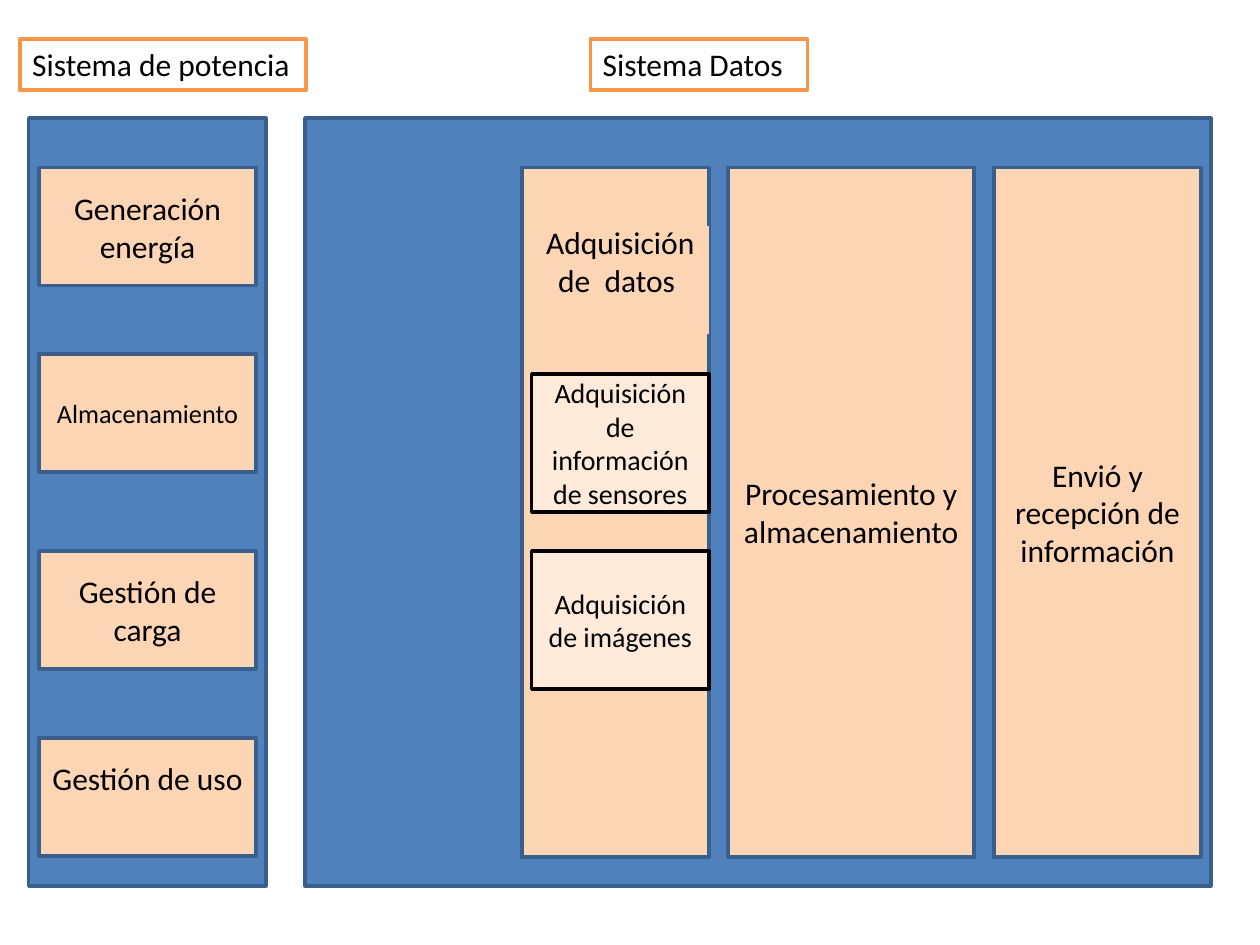
import dataclasses

import pptx
import pptx.dml.color
import pptx.enum.shapes
import pptx.enum.text
import pptx.util

Cm = pptx.util.Cm
Anchor = pptx.enum.text.MSO_ANCHOR
Align = pptx.enum.text.PP_ALIGN


@dataclasses.dataclass(frozen=True)
class Theme:
    """Colours, font and type sizes of the slide."""
    font: str = "Calibri"
    text: str = "000000"
    panel: str = "4F81BD"
    panel_line: str = "3A5F8C"
    block: str = "FCD5B5"
    detail: str = "FDEADA"
    title: str = "FFFFFF"
    title_line: str = "F79646"
    body_size: int = 18
    detail_size: int = 16
    small_size: int = 15
    line_width: int = 2


THEME = Theme()

# Lengths in centimetres: left, width
PANELS = [(0.58, 4.78), (6.15, 18.26)]
PANEL_TOP, PANEL_HEIGHT = 2.38, 15.48

# Text, left, width, wraps
TITLES = [
    ("Sistema de potencia", 0.4, 5.77, False),
    ("Sistema Datos", 11.9, 4.38, True),
]
TITLE_TOP, TITLE_HEIGHT = 0.79, 1.03

# Text, left, width
DATA_COLUMNS = [
    ("", 10.52, 3.77),
    ("Procesamiento y almacenamiento", 14.68, 4.96),
    ("Envió y recepción de información", 20.04, 4.17),
]
BLOCK_TOP, COLUMN_HEIGHT = 3.38, 13.9

# Text, top, type size, space kept free below the text
POWER_STEPS = [
    ("Generación energía", BLOCK_TOP, THEME.body_size, 0),
    ("Almacenamiento", 7.14, THEME.small_size, 0),
    ("Gestión de carga", 11.11, THEME.body_size, 0),
    ("Gestión de uso", 14.88, THEME.body_size, 0.76),
]
STEP_LEFT, STEP_WIDTH, STEP_HEIGHT = 0.79, 4.37, 2.38

ACQUISITION_LEFT, ACQUISITION_WIDTH = 10.72, 3.57
ACQUISITION_HEADING = ("Adquisición de  datos ", 4.56, 2.18, 0.76)
ACQUISITION_DETAILS = [
    ("Adquisición de información de sensores", 7.54),
    ("Adquisición de imágenes", 11.11),
]
DETAIL_HEIGHT = 2.78
BASE_INSET = 0.13


def colour(value):
    """Turn a hexadecimal string into a colour."""
    return pptx.dml.color.RGBColor.from_string(value)


def add_box(slide, place, fill, line=None, text="", size=THEME.body_size,
            align=Align.CENTER, anchor=Anchor.MIDDLE, space_below=0, wrap=True):
    """Add a rectangle at (left, top, width, height) with optional text."""
    shape = slide.shapes.add_shape(
        pptx.enum.shapes.MSO_SHAPE.RECTANGLE, *(Cm(length) for length in place))
    shape.shadow.inherit = False
    shape.fill.solid()
    shape.fill.fore_color.rgb = colour(fill)
    if line:
        shape.line.color.rgb = colour(line)
        shape.line.width = pptx.util.Pt(THEME.line_width)
    else:
        shape.line.fill.background()
    if text:
        frame = shape.text_frame
        frame.word_wrap = wrap
        frame.vertical_anchor = anchor
        frame.margin_bottom = Cm(BASE_INSET + space_below)
        paragraph = frame.paragraphs[0]
        paragraph.alignment = align
        run = paragraph.add_run()
        run.text = text
        run.font.name = THEME.font
        run.font.size = pptx.util.Pt(size)
        run.font.color.rgb = colour(THEME.text)


def build_slide(slide):
    """Draw the panels, titles and blocks from back to front."""
    for left, width in PANELS:
        add_box(slide, (left, PANEL_TOP, width, PANEL_HEIGHT),
                THEME.panel, THEME.panel_line)
    for text, left, width, wrap in TITLES:
        add_box(slide, (left, TITLE_TOP, width, TITLE_HEIGHT),
                THEME.title, THEME.title_line, text,
                align=Align.LEFT, anchor=Anchor.TOP, wrap=wrap)
    for text, left, width in DATA_COLUMNS:
        add_box(slide, (left, BLOCK_TOP, width, COLUMN_HEIGHT),
                THEME.block, THEME.panel_line, text)
    for text, top, size, space_below in POWER_STEPS:
        add_box(slide, (STEP_LEFT, top, STEP_WIDTH, STEP_HEIGHT),
                THEME.block, THEME.panel_line, text, size,
                space_below=space_below)
    text, top, height, space_below = ACQUISITION_HEADING
    add_box(slide, (ACQUISITION_LEFT, top, ACQUISITION_WIDTH, height),
            THEME.block, text=text, space_below=space_below)
    for text, top in ACQUISITION_DETAILS:
        add_box(slide, (ACQUISITION_LEFT, top, ACQUISITION_WIDTH, DETAIL_HEIGHT),
                THEME.detail, THEME.text, text, THEME.detail_size)


presentation = pptx.Presentation()
presentation.slide_width = Cm(25.4)
presentation.slide_height = Cm(19.05)
build_slide(presentation.slides.add_slide(presentation.slide_layouts[6]))
presentation.save("out.pptx")
